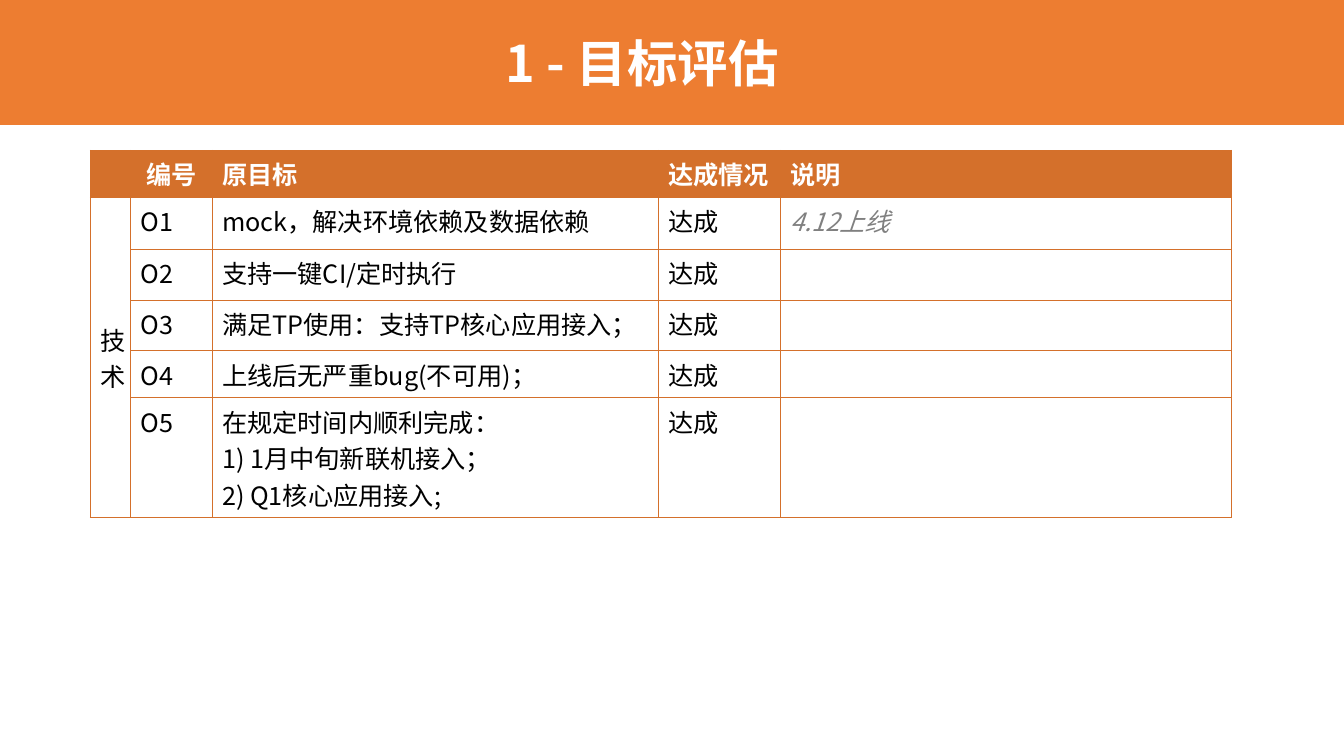
from pptx import Presentation
from pptx.dml.color import RGBColor as RGB
from pptx.enum.lang import MSO_LANGUAGE_ID as LANG
from pptx.enum.shapes import MSO_SHAPE as SHAPE
from pptx.enum.text import MSO_ANCHOR as ANCHOR, PP_ALIGN as ALIGN
from pptx.oxml import parse_xml
from pptx.oxml.ns import nsdecls
from pptx.util import Pt

FONT = "Noto Sans CJK SC"
COLORS = {"band": "ED7D31", "table": "D4702B", "white": "FFFFFF",
          "text": "000000", "note": "808080"}


def write(tf, text, size, color, bold=False, italic=False, align=ALIGN.LEFT):
    for i, line in enumerate(text.split("\n")):
        p = tf.paragraphs[0] if i == 0 else tf.add_paragraph()
        p.alignment = align
        r = p.add_run()
        r.text = line
        f = r.font
        f.name, f.size, f.bold, f.italic = FONT, Pt(size), bold, italic
        f.language_id = LANG.SIMPLIFIED_CHINESE
        f.color.rgb = RGB.from_string(COLORS[color])
        f._element.append(parse_xml(f'<a:ea {nsdecls("a")} typeface="{FONT}"/>'))


def add_borders(cell):
    tcPr = cell._tc.get_or_add_tcPr()
    for i, side in enumerate(("lnL", "lnR", "lnT", "lnB")):
        tcPr.insert(i, parse_xml(
            f'<a:{side} {nsdecls("a")} w="{Pt(0.75)}"><a:solidFill>'
            f'<a:srgbClr val="{COLORS["table"]}"/></a:solidFill></a:{side}>'))


prs = Presentation()
prs.slide_width, prs.slide_height = Pt(960), Pt(540)
s = prs.slides.add_slide(prs.slide_layouts[6])

band = s.shapes.add_shape(SHAPE.RECTANGLE, Pt(0), Pt(-0.7), Pt(960), Pt(90))
band.shadow.inherit = False
band.fill.solid()
band.fill.fore_color.rgb = RGB.from_string(COLORS["band"])
band.line.fill.background()

title = s.shapes.add_textbox(Pt(35.3), Pt(3.6), Pt(846.7), Pt(81.4))
tf = title.text_frame
tf.word_wrap = True
tf.vertical_anchor = ANCHOR.MIDDLE
write(tf, "1 - 目标评估", 36, "white", bold=True, align=ALIGN.CENTER)

rows = [
    ("", "编号", "原目标", "达成情况", "说明"),
    ("技\n术", "O1", "mock，解决环境依赖及数据依赖", "达成", "4.12上线"),
    ("", "O2", "支持一键CI/定时执行", "达成", ""),
    ("", "O3", "满足TP使用：支持TP核心应用接入；", "达成", ""),
    ("", "O4", "上线后无严重bug(不可用)；", "达成", ""),
    ("", "O5", "在规定时间内顺利完成：\n1) 1月中旬新联机接入；\n2) Q1核心应用接入;", "达成", ""),
]
col_widths = [29, 58, 318.7, 87, 322.3]
row_heights = [33.4, 37.2, 36.5, 36.2, 33.6, 85.7]

frame = s.shapes.add_table(len(rows), len(col_widths), Pt(64.5), Pt(107.3),
                           Pt(sum(col_widths)), Pt(sum(row_heights)))
table = frame.table
table.horz_banding = False
for column, width in zip(table.columns, col_widths):
    column.width = Pt(width)
for row, height in zip(table.rows, row_heights):
    row.height = Pt(height)

for i, row in enumerate(rows):
    for j, text in enumerate(row):
        cell = table.cell(i, j)
        header, category = i == 0, j == 0
        if header:
            cell.fill.solid()
            cell.fill.fore_color.rgb = RGB.from_string(COLORS["table"])
        else:
            cell.fill.background()
        add_borders(cell)
        if text:
            note = j == 4 and not header
            color = "white" if header else "note" if note else "text"
            centred = category or (header and j == 1)
            write(cell.text_frame, text, 18, color, bold=header, italic=note,
                  align=ALIGN.CENTER if centred else ALIGN.LEFT)

category_cell = table.cell(1, 0)
category_cell.merge(table.cell(len(rows) - 1, 0))
category_cell.vertical_anchor = ANCHOR.MIDDLE

prs.save("out.pptx")
